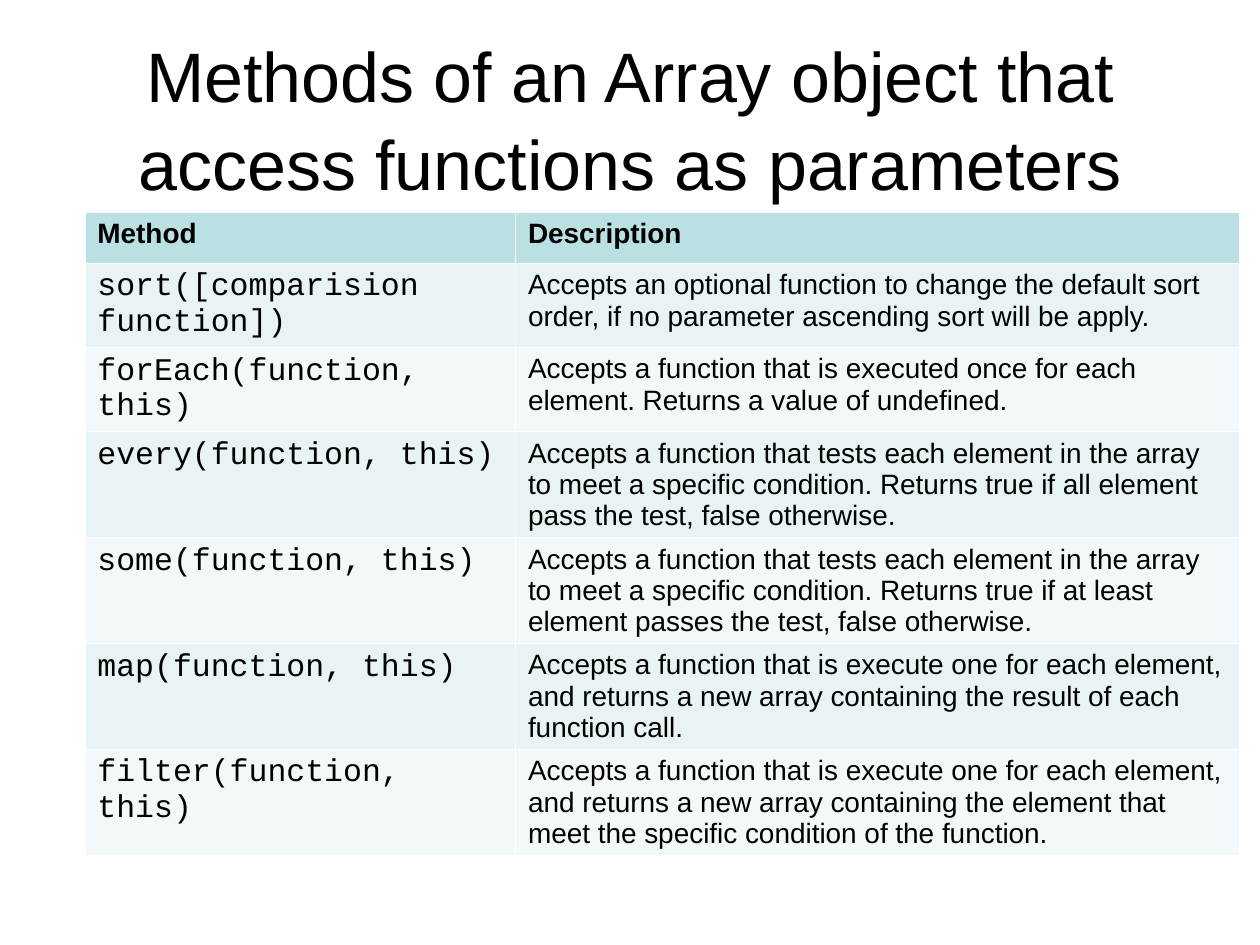
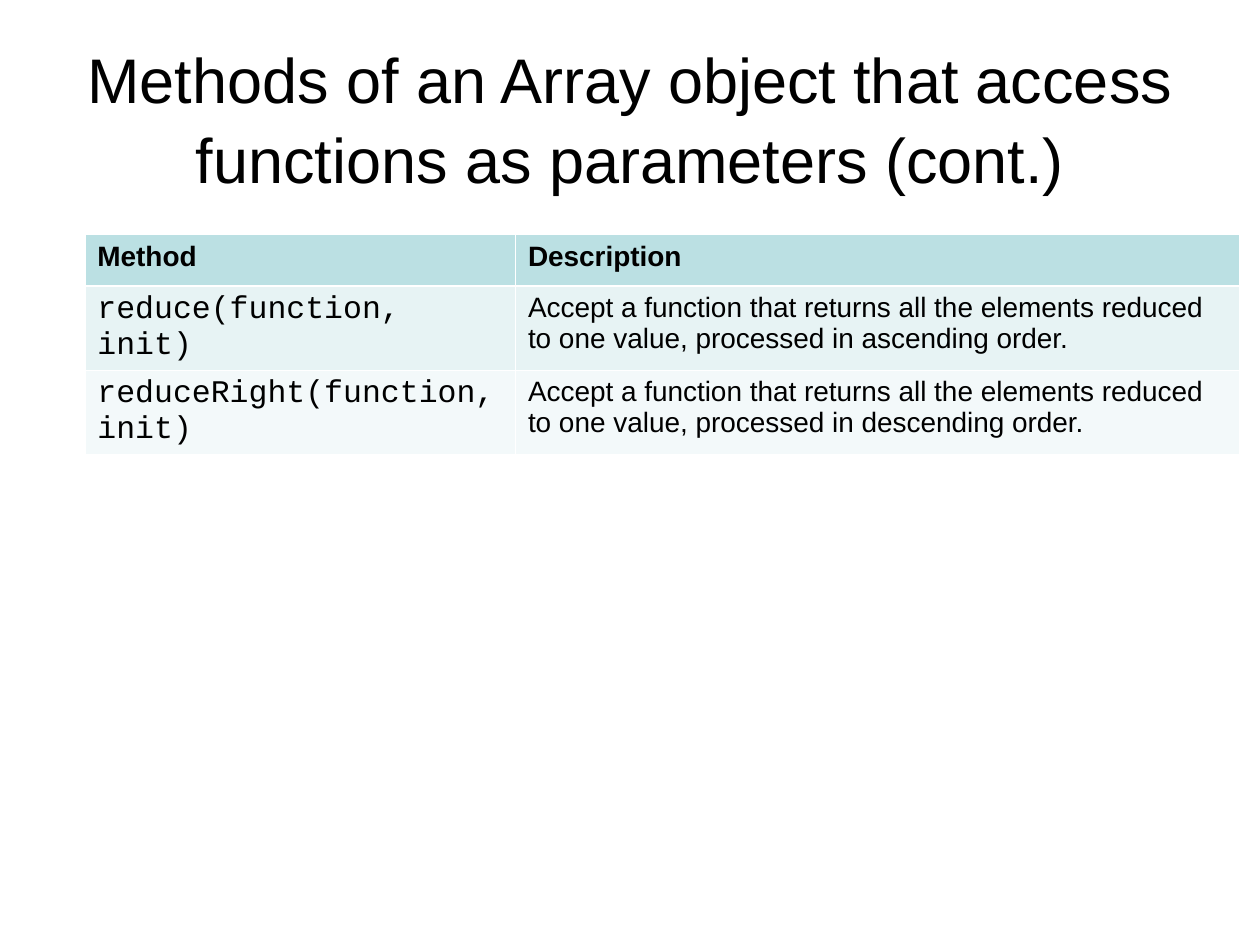
from pptx import Presentation
from pptx.dml.color import RGBColor
from pptx.enum.text import MSO_ANCHOR, MSO_AUTO_SIZE, PP_ALIGN
from pptx.util import Cm, Pt

# Shared look
BLACK = "000000"
HEADER_FILL = "BBE0E3"
BAND_FILLS = ["E7F3F4", "F3F9FA"]
BODY_FONT = "Arial"
CODE_FONT = "Courier New"
COLUMN_WIDTHS = [Cm(8.68), Cm(14.61)]
ROW_HEIGHT = Cm(1.04)
TABLE_LEFT = Cm(1.71)
HEADER = ("Method", "Description")
TITLE = "Methods of an Array object that access functions as parameters"

# Content: title, title size, table top, method rows
pages = [
    (TITLE, 40, Cm(4.27), [
        ("sort([comparision function])",
         "Accepts an optional function to change the default sort order, "
         "if no parameter ascending sort will be apply."),
        ("forEach(function, this)",
         "Accepts a function that is executed once for each element. "
         "Returns a value of undefined."),
        ("every(function, this)",
         "Accepts a function that tests each element in the array to meet a specific "
         "condition. Returns true if all element pass the test, false otherwise."),
        ("some(function, this)",
         "Accepts a function that tests each element in the array to meet a specific "
         "condition. Returns true if at least element passes the test, false otherwise."),
        ("map(function, this)",
         "Accepts a function that is execute one for each element, and returns "
         "a new array containing the result of each function call."),
        ("filter(function, this)",
         "Accepts a function that is execute one for each element, and returns a new array "
         "containing the element that meet the specific condition of the function."),
    ]),
    (TITLE + " (cont.)", 36, Cm(4.73), [
        ("reduce(function, init)",
         "Accept a function that returns all the elements reduced to one value, "
         "processed in ascending order."),
        ("reduceRight(function, init)",
         "Accept a function that returns all the elements reduced to one value, "
         "processed in descending order."),
    ]),
]


def color(hex_code):
    return RGBColor.from_string(hex_code)


def format_text(text_frame, font_name, size, bold=False):
    for para in text_frame.paragraphs:
        for span in para.runs:
            span.font.name = font_name
            span.font.size = Pt(size)
            span.font.bold = bold
            span.font.color.rgb = color(BLACK)


deck = Presentation()
deck.slide_width = Cm(25.4)
deck.slide_height = Cm(19.05)
title_only = deck.slide_layouts[5]

for title_text, title_size, table_top, methods in pages:
    page = deck.slides.add_slide(title_only)

    # Title
    title = page.shapes.title
    title.left, title.top, title.width, title.height = Cm(1.27), Cm(0.76), Cm(22.86), Cm(3.18)
    frame = title.text_frame
    frame.text = title_text
    frame.auto_size = MSO_AUTO_SIZE.NONE
    frame.vertical_anchor = MSO_ANCHOR.MIDDLE
    frame.paragraphs[0].alignment = PP_ALIGN.CENTER
    frame.paragraphs[0].line_spacing = 1.05
    format_text(frame, BODY_FONT, title_size)

    # Method table; white rules come from the default table style
    rows = [HEADER] + methods
    table = page.shapes.add_table(len(rows), len(HEADER), TABLE_LEFT, table_top,
                                  sum(COLUMN_WIDTHS), ROW_HEIGHT * len(rows)).table
    for column, width in zip(table.columns, COLUMN_WIDTHS):
        column.width = width
    for row_index, row in enumerate(rows):
        is_header = row_index == 0
        fill = HEADER_FILL if is_header else BAND_FILLS[(row_index - 1) % 2]
        for column_index, text in enumerate(row):
            cell = table.cell(row_index, column_index)
            cell.text = text
            cell.fill.solid()
            cell.fill.fore_color.rgb = color(fill)
            is_code = column_index == 0 and not is_header
            format_text(cell.text_frame, CODE_FONT if is_code else BODY_FONT,
                        18 if is_code else 16, is_header)

deck.save("out.pptx")
